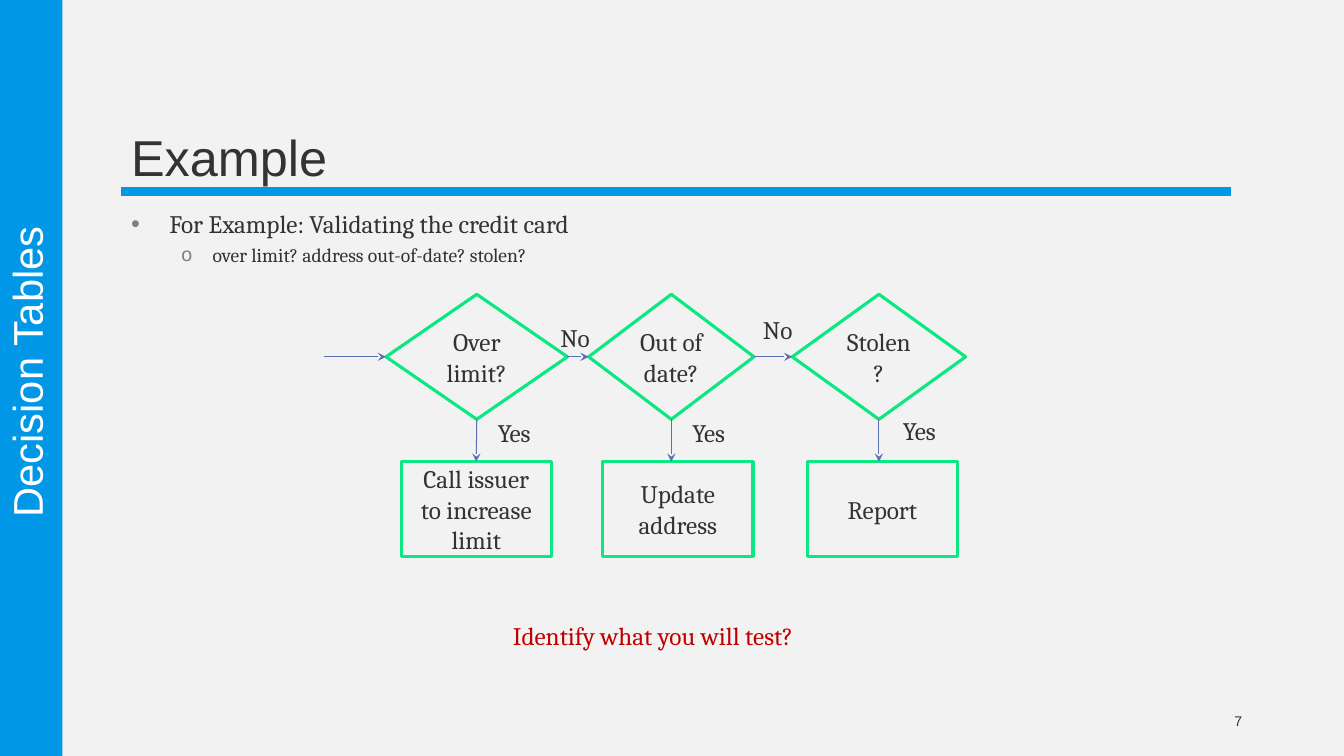
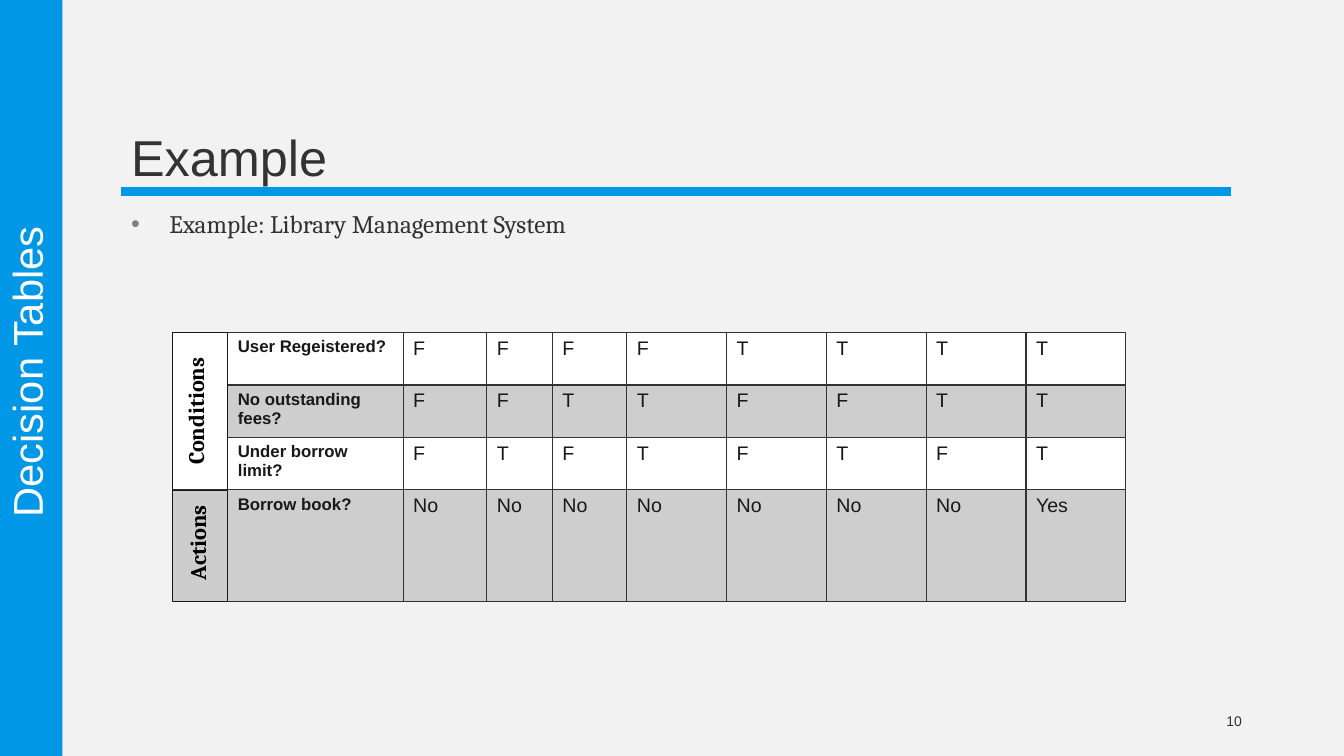
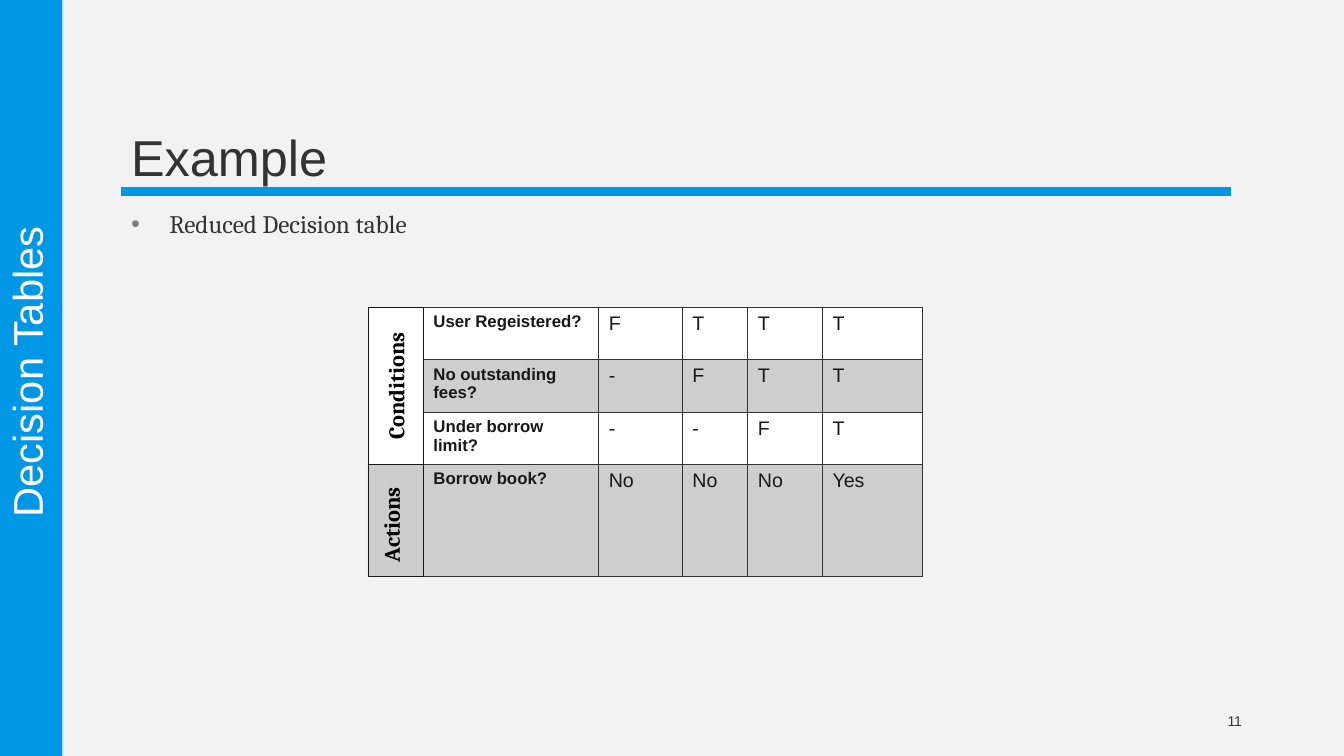
from lxml.etree import SubElement
from pptx import Presentation
from pptx.dml.color import RGBColor
from pptx.enum.shapes import MSO_CONNECTOR, MSO_SHAPE
from pptx.enum.text import MSO_ANCHOR, MSO_AUTO_SIZE, PP_ALIGN
from pptx.oxml.ns import qn
from pptx.util import Inches, Pt

BLUE = RGBColor(0x00, 0x97, 0xE6)
GREEN = RGBColor(0x0B, 0xE8, 0x81)
ARROW = RGBColor(0x5A, 0x72, 0xB1)
PAPER = RGBColor(0xF2, 0xF2, 0xF2)
INK = RGBColor(0x33, 0x33, 0x33)
DARK = RGBColor(0x18, 0x18, 0x18)
BLACK = RGBColor(0x00, 0x00, 0x00)
WHITE = RGBColor(0xFF, 0xFF, 0xFF)
SHADE = RGBColor(0xCE, 0xCE, 0xCE)
SIDE_SHADE = RGBColor(0xCD, 0xCD, 0xCD)
BULLET = RGBColor(0x7F, 0x7F, 0x7F)
RED = RGBColor(0xC0, 0x00, 0x00)

SANS, SERIF = "Arial", "Cambria"
COLS, ROWS = 160, 90
CELL = Inches(13.3333) / COLS
LEVELS = [(18, 0.38, 0.38, 0, "•"), (14, 0.81, 0.31, 2.8, "o")]
CONDITIONS = ["User Regeistered?", "No outstanding fees?", "Under borrow limit?"]
ACTIONS = ["Borrow book?"]
TABLE_ROWS = [6.24] * len(CONDITIONS) + [13.32]
LABEL_COL, FIRST_COLS, WIDE_COL = 20.88, [9.96, 7.8, 8.88], 11.88
SIDE_COL = 6.6


def grid(*cells):
    return [round(n * CELL) for n in cells]


class Deck:
    def __init__(self):
        self.prs = Presentation()
        self.prs.slide_width, self.prs.slide_height = grid(COLS, ROWS)
        fill = self.prs.slide_master.background.fill
        fill.solid()
        fill.fore_color.rgb = PAPER
        self.s = None

    def run(self, p, text, size, color=INK, font=SERIF, bold=False):
        r = p.add_run()
        r.text = text
        r.font.size, r.font.name, r.font.bold = Pt(size), font, bold
        r.font.color.rgb = color

    def place(self, sp, *cells):
        sp.left, sp.top, sp.width, sp.height = grid(*cells)

    def slide(self, title, band, number, bullets):
        self.s = self.prs.slides.add_slide(self.prs.slide_layouts[1])
        self.shape(MSO_SHAPE.RECTANGLE, 0, 0, 7.44, ROWS, BLUE)
        self.line(grid(14.4, 22.8), grid(146.52, 22.8), BLUE, 6)
        self.title(title)
        self.bullets(bullets)
        sp = self.text(band, -36.72, 41.28, 80.88, 6, 29.7, WHITE, SANS,
                       align=PP_ALIGN.CENTER, anchor=MSO_ANCHOR.BOTTOM, turn=-90)
        sp.text_frame.paragraphs[0].line_spacing = 0.85
        self.text(number, 113.04, 83.4, 36, 4.8, 10, INK, SANS,
                  align=PP_ALIGN.RIGHT, anchor=MSO_ANCHOR.MIDDLE)

    def title(self, text):
        sp = self.s.shapes.title
        self.place(sp, 14.4, 3.72, 132, 19.08)
        tf = sp.text_frame
        tf.auto_size, tf.vertical_anchor = MSO_AUTO_SIZE.NONE, MSO_ANCHOR.BOTTOM
        p = tf.paragraphs[0]
        p.alignment, p.line_spacing = PP_ALIGN.LEFT, 1.61
        self.run(p, text, 36, font=SANS)

    def bullets(self, items):
        sp = self.s.placeholders[1]
        self.place(sp, 14.4, 24.24, 132, 52.8)
        tf = sp.text_frame
        tf.auto_size = MSO_AUTO_SIZE.NONE
        for i, text in enumerate(items):
            size, margin, hang, before, char = LEVELS[i]
            p = tf.add_paragraph() if i else tf.paragraphs[0]
            p.level, p.space_before = i, Pt(before)
            pPr = p._p.get_or_add_pPr()
            pPr.set("marL", str(Inches(margin)))
            pPr.set("indent", str(-Inches(hang)))
            color = SubElement(pPr, qn("a:buClr"))
            SubElement(color, qn("a:srgbClr"), val=str(BULLET))
            SubElement(pPr, qn("a:buFont"), typeface=SANS)
            SubElement(pPr, qn("a:buChar"), char=char)
            self.run(p, text, size)

    def text(self, text, x, y, w, h, size=18, color=INK, font=SERIF, bold=False,
             align=PP_ALIGN.LEFT, anchor=MSO_ANCHOR.TOP, turn=0):
        sp = self.s.shapes.add_textbox(*grid(x, y, w, h))
        sp.rotation = turn
        tf = sp.text_frame
        tf.word_wrap, tf.vertical_anchor = True, anchor
        p = tf.paragraphs[0]
        p.alignment = align
        self.run(p, text, size, color, font, bold)
        return sp

    def shape(self, kind, x, y, w, h, fill, line=None, weight=0, text=None):
        sp = self.s.shapes.add_shape(kind, *grid(x, y, w, h))
        sp.shadow.inherit = False
        sp.fill.solid()
        sp.fill.fore_color.rgb = fill
        if line is None:
            sp.line.fill.background()
        else:
            sp.line.color.rgb, sp.line.width = line, Pt(weight)
        if text:
            tf = sp.text_frame
            tf.word_wrap, tf.vertical_anchor = True, MSO_ANCHOR.MIDDLE
            p = tf.paragraphs[0]
            p.alignment = PP_ALIGN.CENTER
            self.run(p, text, 18)
        return sp

    def line(self, start, end, color, weight):
        cn = self.s.shapes.add_connector(MSO_CONNECTOR.STRAIGHT, *start, *end)
        cn.line.color.rgb, cn.line.width = color, Pt(weight)
        SubElement(cn._element.spPr, qn("a:effectLst"))
        return cn

    def arrow(self, start, end, source=None, target=None):
        cn = self.line(start, end, ARROW, 0.75)
        SubElement(cn.line._get_or_add_ln(), qn("a:tailEnd"), type="stealth")
        if source:
            cn.begin_connect(*source)
        if target:
            cn.end_connect(*target)

    def flow(self, steps):
        previous = None
        for question, x, w, action, box_x in steps:
            choice = self.shape(MSO_SHAPE.FLOWCHART_DECISION, x, 35.04, w, 14.88,
                                PAPER, GREEN, 2.25, question)
            box = self.shape(MSO_SHAPE.FLOWCHART_PROCESS, box_x, 54.96, 17.88, 11.28,
                             PAPER, GREEN, 2.25, action)
            self.arrow(grid(38.52, 42.48), grid(x, 42.48),
                       (previous, 3) if previous else None, (choice, 1))
            middle = x + w / 2
            aligned = abs(middle - box_x - 17.88 / 2) < 0.1
            self.arrow(grid(middle, 49.92), grid(middle, 54.96),
                       (choice, 2), (box, 0) if aligned else None)
            previous = choice

    def cell(self, cell, text, fill, heading):
        tcPr = cell._tc.get_or_add_tcPr()
        for side in ("lnL", "lnR", "lnT", "lnB"):
            ln = SubElement(tcPr, qn("a:" + side), w=str(Pt(1)))
            SubElement(SubElement(ln, qn("a:solidFill")), qn("a:srgbClr"), val=str(INK))
        cell.fill.solid()
        cell.fill.fore_color.rgb = fill
        self.run(cell.text_frame.paragraphs[0], text, 12 if heading else 14,
                 DARK, SANS, heading)

    def decision_table(self, x, y, answers, nudges):
        count = len(answers[0])
        widths = [LABEL_COL] + FIRST_COLS + [WIDE_COL] * (count - len(FIRST_COLS))
        frame = self.s.shapes.add_table(len(answers), count + 1,
                                        *grid(x, y, sum(widths), sum(TABLE_ROWS)))
        table = frame.table
        table.first_row = table.horz_banding = False
        for col, width in zip(table.columns, grid(*widths)):
            col.width = width
        for row, height in zip(table.rows, grid(*TABLE_ROWS)):
            row.height = height
        for i, (label, values) in enumerate(zip(CONDITIONS + ACTIONS, answers)):
            for j, text in enumerate([label, *values]):
                self.cell(table.cell(i, j), text, SHADE if i % 2 else WHITE, j == 0)
        split = len(CONDITIONS)
        sides = [("Conditions", sum(TABLE_ROWS[:split]), WHITE),
                 ("Actions", sum(TABLE_ROWS[split:]), SIDE_SHADE)]
        for (label, height, fill), (dx, dy) in zip(sides, nudges):
            self.shape(MSO_SHAPE.RECTANGLE, x - SIDE_COL, y, SIDE_COL, height,
                       fill, DARK, 0.5)
            self.text(label, x - (SIDE_COL + height) / 2 + dx, y + height / 2 - 2.22 + dy,
                      height, 4.44, 16, BLACK, bold=True, align=PP_ALIGN.CENTER, turn=-90)
            y += height


def main():
    deck = Deck()
    band = "Decision Tables"

    deck.slide("Example", band, "7", ["For Example: Validating the credit card",
                                      "over limit? address out-of-date? stolen?"])
    deck.flow([("Over limit?", 45.96, 21.6, "Call issuer to increase limit", 47.76),
               ("Out of date?", 70.08, 19.68, "Update address", 71.76),
               ("Stolen?", 94.32, 20.64, "Report", 96.12)])
    for answer, x, y in [("No", 65.52, 37.8), ("No", 89.64, 36.84), ("Yes", 58.08, 49.08),
                         ("Yes", 81.24, 49.08), ("Yes", 106.32, 48.84)]:
        deck.text(answer, x, y, 7.44, 4.8)
    deck.text("Identify what you will test?", 59.88, 73.2, 56.4, 4.8, color=RED)

    deck.slide("Example", band, "10", ["Example: Library Management System"])
    deck.decision_table(27.12, 39.6, ["FFFFTTTT", "FFTTFFTT", "FTFTFTFT",
                                      ["No"] * 7 + ["Yes"]],
                        [(-0.54, 0), (-0.3, -0.36)])

    deck.slide("Example", band, "11", ["Reduced Decision table"])
    deck.decision_table(50.4, 36.6, ["FTTT", "-FTT", "--FT", ["No"] * 3 + ["Yes"]],
                        [(0, 0), (-0.54, 0.48)])

    deck.prs.save("out.pptx")


if __name__ == "__main__":
    main()
